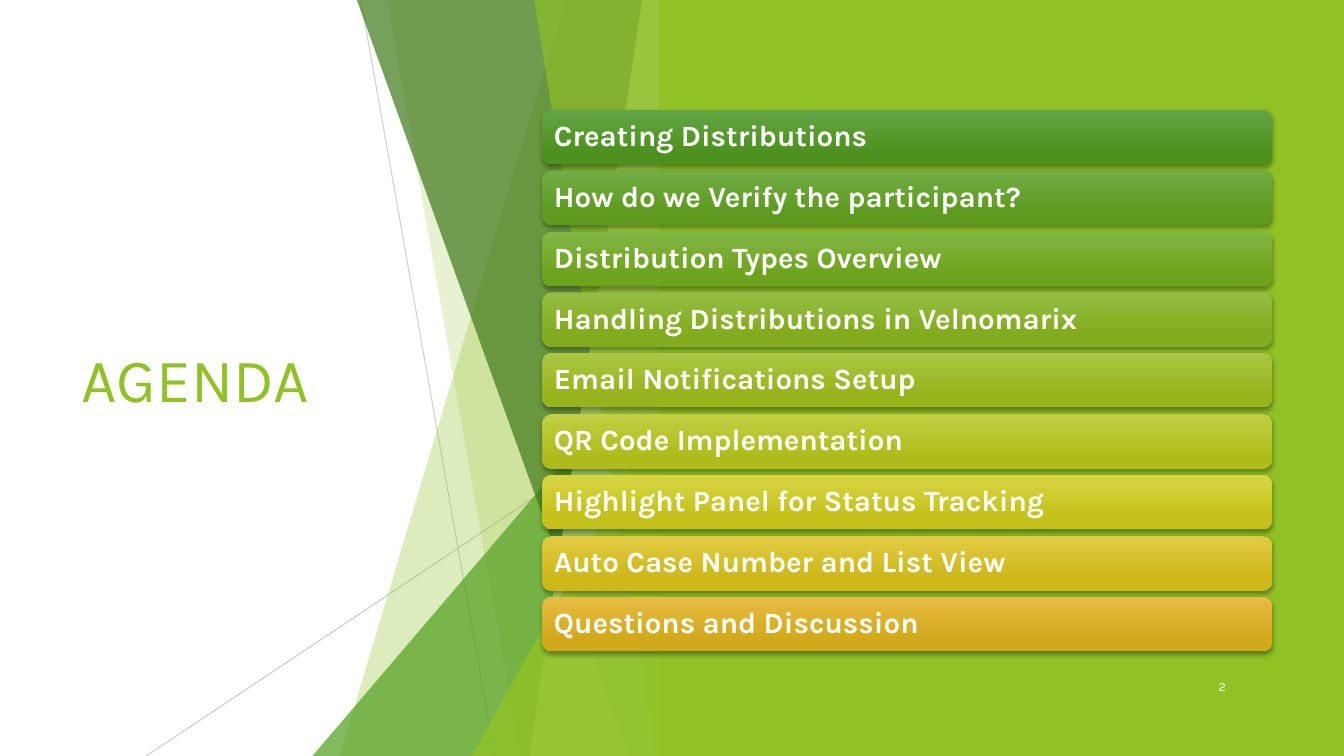
from dataclasses import dataclass

from lxml import etree
from pptx import Presentation
from pptx.dml.color import RGBColor
from pptx.enum.shapes import MSO_CONNECTOR, MSO_SHAPE
from pptx.enum.text import MSO_ANCHOR, PP_ALIGN
from pptx.oxml.ns import qn
from pptx.util import Pt

TRIANGLE = MSO_SHAPE.ISOSCELES_TRIANGLE
RECTANGLE = MSO_SHAPE.RECTANGLE
ROUNDED = MSO_SHAPE.ROUNDED_RECTANGLE
STRAIGHT = MSO_CONNECTOR.STRAIGHT
MIDDLE = MSO_ANCHOR.MIDDLE
LEFT, RIGHT = PP_ALIGN.LEFT, PP_ALIGN.RIGHT

EMU_PER_PX = 9144  # 100 px to the inch
SLIDE_W, SLIDE_H = 1333, 750
FACET_RIGHT = 666


@dataclass(frozen=True)
class Theme:
    font: str = "Karla"
    lime: str = "90C226"
    green: str = "54A021"
    forest: str = "3F7819"
    pale: str = "C0E474"
    hairline: str = "BFBFBF"
    white: str = "FFFFFF"
    shadow: str = "000000"
    title_size: int = 44
    agenda_size: int = 21
    number_size: int = 9


THEME = Theme()

# Topic, gradient top, gradient bottom
AGENDA = [
    ("Creating Distributions", "63A545", "4D921E"),
    ("How do we Verify the participant?", "71AD44", "5D9A1E"),
    ("Distribution Types Overview", "82B644", "6EA31D"),
    ("Handling Distributions in Velnomarix", "95BE44", "82AB1D"),
    ("Email Notifications Setup", "AAC744", "97B31C"),
    ("QR Code Implementation", "C2CF43", "AEBC1B"),
    ("Highlight Panel for Status Tracking", "D8D543", "C4C11A"),
    ("Auto Case Number and List View", "E2CB43", "CDB719"),
    ("Questions and Discussion", "E7BC43", "D2A91B"),
]
BAR_LEFT, BAR_WIDTH, BAR_HEIGHT = 538, 724, 54
FIRST_BAR_TOP, LAST_BAR_TOP = 109, 592


def px(*lengths):
    return [round(length * EMU_PER_PX) for length in lengths]


def set_alpha(owner, percent):
    """Make the solid colour found inside the element partly transparent."""
    color = next(owner.iter(qn("a:srgbClr")))
    etree.SubElement(color, qn("a:alpha")).set("val", str(percent * 1000))


def paint(shape, color, alpha=100):
    shape.shadow.inherit = False
    shape.line.fill.background()
    shape.fill.solid()
    shape.fill.fore_color.rgb = RGBColor.from_string(color)
    if alpha < 100:
        set_alpha(shape._element.spPr, alpha)


def add_block(slide, kind, box, color, alpha=100, apex=None):
    block = slide.shapes.add_shape(kind, *px(*box))
    if apex is not None:
        block.adjustments[0] = apex
    paint(block, color, alpha)


def add_facet(slide, top_left, bottom_left, color, alpha):
    """Draw a full-height band with a slanted left edge."""
    builder = slide.shapes.build_freeform(top_left, 0, scale=EMU_PER_PX)
    builder.add_line_segments(
        [(FACET_RIGHT, 0), (FACET_RIGHT, SLIDE_H), (bottom_left, SLIDE_H)])
    paint(builder.convert_to_shape(), color, alpha)


def add_hairline(slide, start, end, alpha):
    hairline = slide.shapes.add_connector(STRAIGHT, *px(*start, *end))
    hairline.line.width = Pt(0.75)
    hairline.line.color.rgb = RGBColor.from_string(THEME.hairline)
    properties = hairline._element.spPr
    set_alpha(properties, alpha)
    etree.SubElement(properties, qn("a:effectLst"))


def write(shape, text, *, size, color=THEME.white, bold=False, align=LEFT,
          inset=10, spacing=1.0):
    frame = shape.text_frame
    frame.word_wrap = True
    frame.vertical_anchor = MIDDLE
    frame.margin_left, frame.margin_right = px(inset, inset)
    paragraph = frame.paragraphs[0]
    paragraph.alignment = align
    paragraph.line_spacing = spacing
    run = paragraph.add_run()
    run.text = text
    run.font.name = THEME.font
    run.font.size = Pt(size)
    run.font.bold = bold
    run.font.color.rgb = RGBColor.from_string(color)


def add_drop_shadow(shape):
    shape.shadow.inherit = False
    effects = shape._element.spPr.find(qn("a:effectLst"))
    shadow = etree.SubElement(effects, qn("a:outerShdw"), blurRad=str(Pt(3)),
                              dist=str(Pt(2)), dir="5400000", rotWithShape="0")
    etree.SubElement(shadow, qn("a:srgbClr"), val=THEME.shadow)
    set_alpha(shadow, 35)


def add_agenda_bar(slide, top, topic, light, dark):
    bar = slide.shapes.add_shape(
        ROUNDED, *px(BAR_LEFT, top, BAR_WIDTH, BAR_HEIGHT))
    bar.line.fill.background()
    bar.fill.gradient()
    bar.fill.gradient_angle = 270
    for stop, position, color in zip(
            bar.fill.gradient_stops, (0, 0.78), (light, dark)):
        stop.position = position
        stop.color.rgb = RGBColor.from_string(color)
    add_drop_shadow(bar)
    write(bar, topic, size=THEME.agenda_size, bold=True, inset=9, spacing=0.9)


def add_facets(slide):
    add_hairline(slide, (358, 0), (491, SLIDE_H), 75)
    add_hairline(slide, (FACET_RIGHT, 403), (145, SLIDE_H), 80)
    add_facet(slide, 561, 337, THEME.lime, 30)
    add_facet(slide, 384, 516, THEME.lime, 20)
    add_block(slide, TRIANGLE, (310, 333, 356, 417), THEME.green, 72, apex=1)
    add_facet(slide, 354, 624, THEME.forest, 70)
    add_facet(slide, 637, 525, THEME.pale, 70)
    add_facet(slide, 530, 651, THEME.lime, 65)
    add_block(slide, TRIANGLE, (468, 393, 198, 357), THEME.lime, 80, apex=1)


def main():
    deck = Presentation()
    deck.slide_width, deck.slide_height = px(SLIDE_W + 1 / 3, SLIDE_H)
    slide = deck.slides.add_slide(deck.slide_layouts[6])

    title = slide.shapes.add_textbox(*px(71, 151, 388, 448))
    write(title, "AGENDA", size=THEME.title_size, color=THEME.lime)
    add_facets(slide)
    add_block(slide, RECTANGLE, (654, 0, SLIDE_W + 1 / 3 - 654, SLIDE_H),
              THEME.lime)
    page_number = slide.shapes.add_textbox(*px(1151, 661, 75, 40))
    write(page_number, "2", size=THEME.number_size, align=RIGHT)

    pitch = (LAST_BAR_TOP - FIRST_BAR_TOP) / (len(AGENDA) - 1)
    for index, (topic, light, dark) in enumerate(AGENDA):
        top = round(FIRST_BAR_TOP + index * pitch)
        add_agenda_bar(slide, top, topic, light, dark)

    deck.save("out.pptx")


if __name__ == "__main__":
    main()
